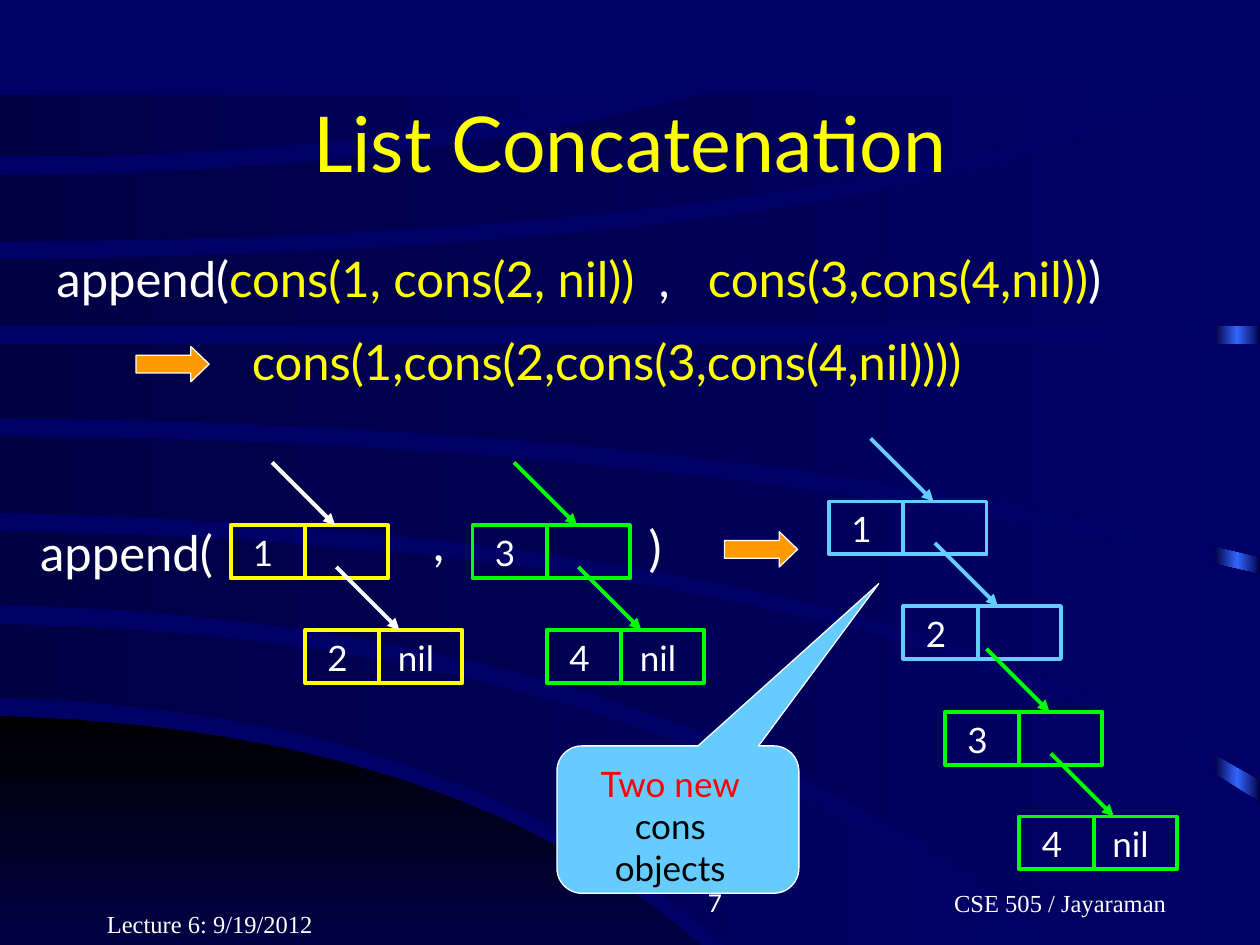
from lxml import etree
from pptx import Presentation
from pptx.dml.color import RGBColor
from pptx.enum.shapes import MSO_CONNECTOR, MSO_SHAPE
from pptx.enum.text import MSO_ANCHOR, MSO_AUTO_SIZE, PP_ALIGN
from pptx.oxml.ns import qn
from pptx.util import Inches, Pt

RECTANGLE, RIGHT_ARROW = MSO_SHAPE.RECTANGLE, MSO_SHAPE.RIGHT_ARROW
CALLOUT = MSO_SHAPE.ROUNDED_RECTANGULAR_CALLOUT
STRAIGHT = MSO_CONNECTOR.STRAIGHT
TOP, MIDDLE, BOTTOM = MSO_ANCHOR.TOP, MSO_ANCHOR.MIDDLE, MSO_ANCHOR.BOTTOM
LEFT, CENTER, RIGHT = PP_ALIGN.LEFT, PP_ALIGN.CENTER, PP_ALIGN.RIGHT
FIT_SHAPE = MSO_AUTO_SIZE.SHAPE_TO_FIT_TEXT

NAVY = RGBColor(0x00, 0x00, 0x66)
DARK_NAVY = RGBColor(0x00, 0x00, 0x44)
BRIGHT_BLUE = RGBColor(0x33, 0x66, 0xFF)
BLACK = RGBColor(0x00, 0x00, 0x00)
WHITE = RGBColor(0xFF, 0xFF, 0xFF)
YELLOW = RGBColor(0xFF, 0xFF, 0x00)
GREEN = RGBColor(0x00, 0xFF, 0x00)
SKY = RGBColor(0x66, 0xCC, 0xFF)
ORANGE = RGBColor(0xFF, 0x99, 0x00)
RED = RGBColor(0xFF, 0x00, 0x00)

SANS, SERIF = "Lato", "Times New Roman"
CURVE_STEPS = 12

# Each edge is a quadratic curve from x = 0: start y, control x and y, end x and y.
CORNER_EDGE = (5.68, 3.6, 5.79, 5.56, 7.5)
# Upper edge, lower edge, corner points between their right ends.
BANDS = [
    ((4.95, 5.18, 5.05, 8.2, 7.5), (5.54, 3.57, 5.61, 5.77, 7.5), []),
    ((4.21, 7.07, 4.35, 10, 6.37), (4.8, 5.37, 4.91, 8.42, 7.5), [(10, 7.5)]),
    ((3.46, 5.65, 3.5, 10, 4.56), (4.07, 6.8, 4.2, 10, 6.19), []),
    ((2.73, 5, 2.73, 10, 2.73), (3.32, 5.83, 3.36, 10, 4.42), []),
    ((2.06, 7, 2, 9.44, 0.75), (2.59, 5, 2.59, 10, 2.59), [(10, 0.75)]),
    ((1.39, 3.2, 1.39, 5.57, 0.75), (1.92, 6.5, 1.88, 9.18, 0.75), []),
    ((0.75, 2.5, 0.75, 5.02, 0.75), (1.24, 2.6, 1.26, 5.02, 0.75), []),
]

# Left and top of the first cell, its value, tail of the second cell, colours
CELL_PAIRS = [
    (1.83, 4.17, 1, "nil", YELLOW, WHITE),
    (3.75, 4.17, 3, "nil", GREEN, GREEN),
    (6.58, 3.98, 1, None, SKY, SKY),
    (7.5, 5.65, 3, "nil", GREEN, GREEN),
]
CELL_WIDTH, CELL_HEIGHT = 1.25, 0.42
HEAD_WIDTH, CELL_DROP = 0.59, 0.83


def set_attributes(target, values):
    for name, value in values.items():
        setattr(target, name, value)


def curve_points(start_y, control_x, control_y, end_x, end_y):
    points = []
    for step in range(CURVE_STEPS + 1):
        t = step / CURVE_STEPS
        middle, end = 2 * t * (1 - t), t * t
        points.append((middle * control_x + end * end_x,
                       (1 - t) ** 2 * start_y + middle * control_y + end * end_y))
    return points


def apply_gradient(shape, colors, angle):
    """Fill with evenly spaced colour stops; angle is clockwise from left-to-right."""
    shape.shadow.inherit = False
    shape.line.fill.background()
    shape.fill.gradient()
    gradient = shape.element.spPr.find(qn("a:gradFill"))
    stops = gradient.find(qn("a:gsLst"))
    for stop in list(stops):
        stops.remove(stop)
    for index, color in enumerate(colors):
        position = str(100000 * index // (len(colors) - 1))
        stop = etree.SubElement(stops, qn("a:gs"), pos=position)
        etree.SubElement(stop, qn("a:srgbClr"), val=str(color))
    gradient.find(qn("a:lin")).set("ang", str(angle * 60000))


def add_band(slide, points, colors, angle=0):
    corners = [(Inches(x), Inches(y)) for x, y in points]
    builder = slide.shapes.build_freeform(*corners[0])
    builder.add_line_segments(corners[1:], close=True)
    apply_gradient(builder.convert_to_shape(), colors, angle)


def add_backdrop(slide):
    slide.background.fill.solid()
    slide.background.fill.fore_color.rgb = NAVY
    edge = slide.shapes.add_shape(
        RECTANGLE, Inches(9.64), Inches(0.77), Inches(0.36), Inches(6.73))
    apply_gradient(edge, [DARK_NAVY, BRIGHT_BLUE, DARK_NAVY], 0)
    add_band(slide, [(0, 7.5)] + curve_points(*CORNER_EDGE), [BLACK, DARK_NAVY], 90)
    for upper, lower, corner in BANDS:
        points = curve_points(*upper) + corner + curve_points(*lower)[::-1]
        add_band(slide, points, [DARK_NAVY, NAVY])


def add_shape(slide, preset, box, fill, line, width, adjustments=()):
    shape = slide.shapes.add_shape(preset, *map(Inches, box))
    shape.shadow.inherit = False
    if fill is None:
        shape.fill.background()
    else:
        shape.fill.solid()
        shape.fill.fore_color.rgb = fill
    shape.line.color.rgb = line
    shape.line.width = Pt(width)
    for index, value in enumerate(adjustments):
        shape.adjustments[index] = value


def add_line(slide, start, end, color, arrow=False):
    connector = slide.shapes.add_connector(STRAIGHT, *map(Inches, start + end))
    connector.line.color.rgb = color
    connector.line.width = Pt(2.25)
    properties = connector.element.spPr
    if arrow:
        etree.SubElement(properties.find(qn("a:ln")), qn("a:tailEnd"), type="triangle")
    etree.SubElement(properties, qn("a:effectLst"))


def add_text(slide, box, paragraphs, size, font=SANS, align=LEFT, anchor=TOP,
             wrap=False, tabs=()):
    """Add a text box; each paragraph is a list of (text, colour) runs."""
    frame = slide.shapes.add_textbox(*map(Inches, box)).text_frame
    set_attributes(frame, {"word_wrap": wrap, "vertical_anchor": anchor})
    if not wrap:
        frame.auto_size = FIT_SHAPE
    for index, runs in enumerate(paragraphs):
        paragraph = frame.add_paragraph() if index else frame.paragraphs[0]
        paragraph.alignment = align
        if tabs:
            stops = etree.SubElement(paragraph._p.get_or_add_pPr(), qn("a:tabLst"))
            for position in tabs:
                etree.SubElement(stops, qn("a:tab"), pos=str(Inches(position)), algn="l")
        for text, color in runs:
            run = paragraph.add_run()
            run.text = text
            set_attributes(run.font, {"name": font, "size": Pt(size)})
            run.font.color.rgb = color


def add_cons_cell(slide, left, top, color, head, tail, arrow_color, arrow_offset):
    """Draw a two-part cell, its contents and the arrow that points to it."""
    add_shape(slide, RECTANGLE, (left, top, CELL_WIDTH, CELL_HEIGHT), None, color, 2.25)
    divider = left + HEAD_WIDTH
    add_line(slide, (divider, top), (divider, top + CELL_HEIGHT), color)
    add_text(slide, (left + 0.08, top, 0.36, 0.44), [[(head, WHITE)]], 20)
    if tail:
        add_text(slide, (divider + 0.05, top, 0.51, 0.44), [[(tail, WHITE)]], 20)
    start = left + arrow_offset
    add_line(slide, (start, top - 0.5), (start + 0.5, top), arrow_color, arrow=True)


def add_cell_pair(slide, left, top, value, last_tail, color, arrow_color):
    add_cons_cell(slide, left, top, color, str(value), None, arrow_color, 0.33)
    add_cons_cell(slide, left + HEAD_WIDTH, top + CELL_DROP, color, str(value + 1),
                  last_tail, arrow_color, 0.25)


def format_title(slide, text):
    title = slide.shapes.title
    set_attributes(title, {"left": Inches(0.75), "top": Inches(0.5),
                           "width": Inches(8.5), "height": Inches(1.25)})
    title.text_frame.text = text
    title.text_frame.vertical_anchor = MIDDLE
    paragraph = title.text_frame.paragraphs[0]
    paragraph.alignment = CENTER
    set_attributes(paragraph.runs[0].font, {"name": SANS, "size": Pt(44)})
    paragraph.runs[0].font.color.rgb = YELLOW
    title.element.getparent().append(title.element)  # bring in front of the backdrop


def main():
    presentation = Presentation()
    set_attributes(presentation, {"slide_width": Inches(10), "slide_height": Inches(7.5)})
    slide = presentation.slides.add_slide(presentation.slide_layouts[5])
    add_backdrop(slide)
    format_title(slide, "List Concatenation")

    call = [("append(", WHITE), ("cons(1, cons(2, nil))", YELLOW), ("\t,\t", WHITE),
            ("cons(3,cons(4,nil))", YELLOW), (")", WHITE)]
    add_text(slide, (0.35, 1.92, 9.14, 0.57), [call], 28, tabs=(4.78, 5.17))
    add_text(slide, (1.9, 2.58, 6.26, 0.57),
             [[("cons(1,cons(2,cons(3,cons(4,nil))))", YELLOW)]], 28)
    for left, top in [(1.08, 2.75), (5.75, 4.22)]:
        add_shape(slide, RIGHT_ARROW, (left, top, 0.58, 0.28), ORANGE, WHITE, 0.75,
                  (0.5, 0.52))

    for pair in CELL_PAIRS:
        add_cell_pair(slide, *pair)
    for text, left, top, width in [("append(", 0.22, 4.1, 1.81), (",", 3.34, 4.02, 0.3),
                                   (")", 5.05, 4.06, 0.43)]:
        add_text(slide, (left, top, width, 0.57), [[(text, WHITE)]], 28)

    add_shape(slide, CALLOUT, (4.42, 5.92, 1.92, 1.17), SKY, WHITE, 0.75,
              (0.83, -1.6, 0.17))
    add_text(slide, (4.64, 6, 1.36, 1.1),
             [[("Two new", RED)], [("cons", BLACK)], [("objects", BLACK)]], 20,
             align=CENTER)

    footers = [("\tCSE 505 / Jayaraman", (6.58, 6.83, 3.17, 0.5), SERIF, CENTER),
               ("7", (3.75, 6.83, 2.08, 0.5), SANS, RIGHT),
               ("Lecture 6: 9/19/2012", (0.75, 7, 2.08, 0.5), SERIF, LEFT)]
    for text, box, font, align in footers:
        add_text(slide, box, [[(text, WHITE)]], 14, font, align, BOTTOM, wrap=True)
    presentation.save("out.pptx")


if __name__ == "__main__":
    main()
